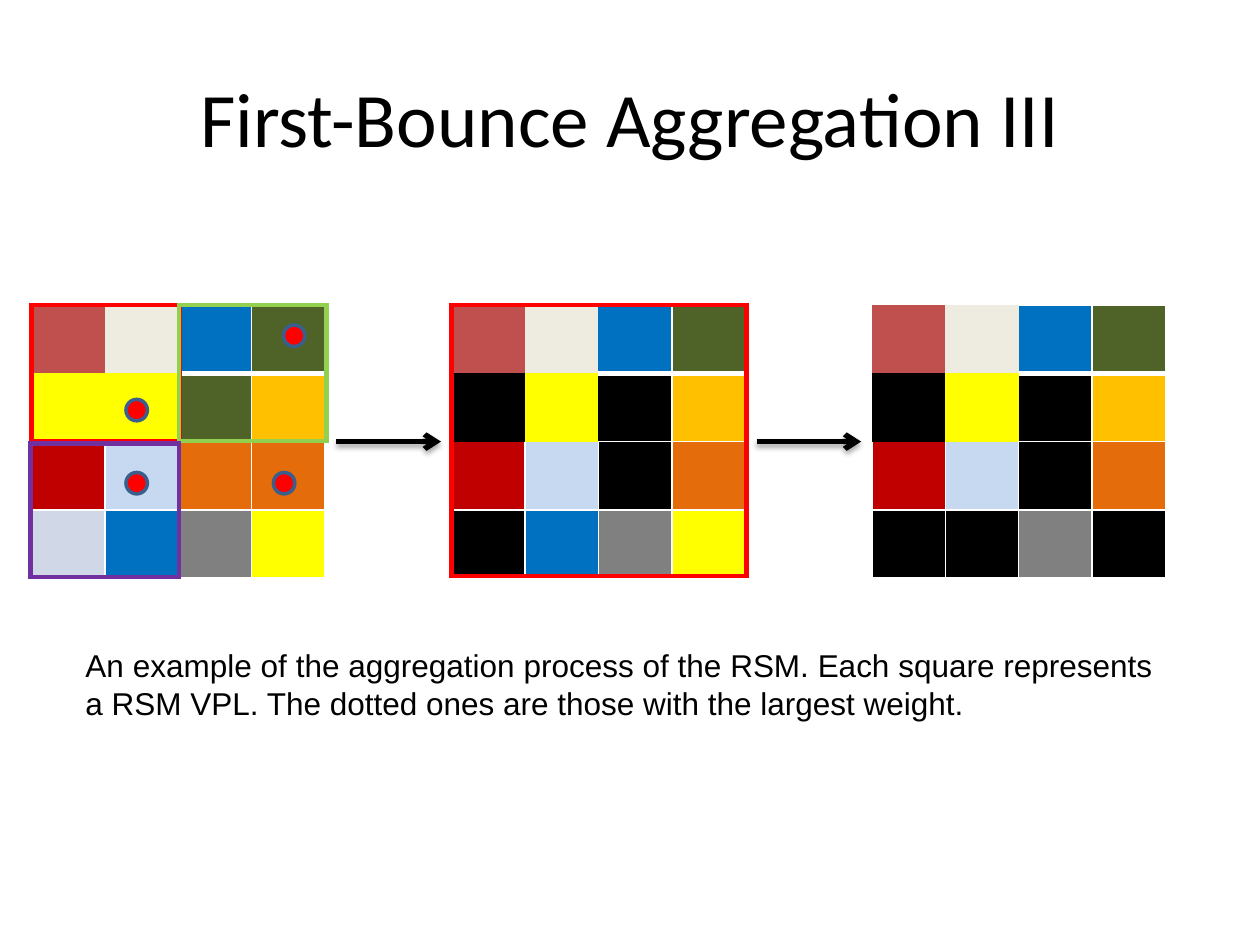
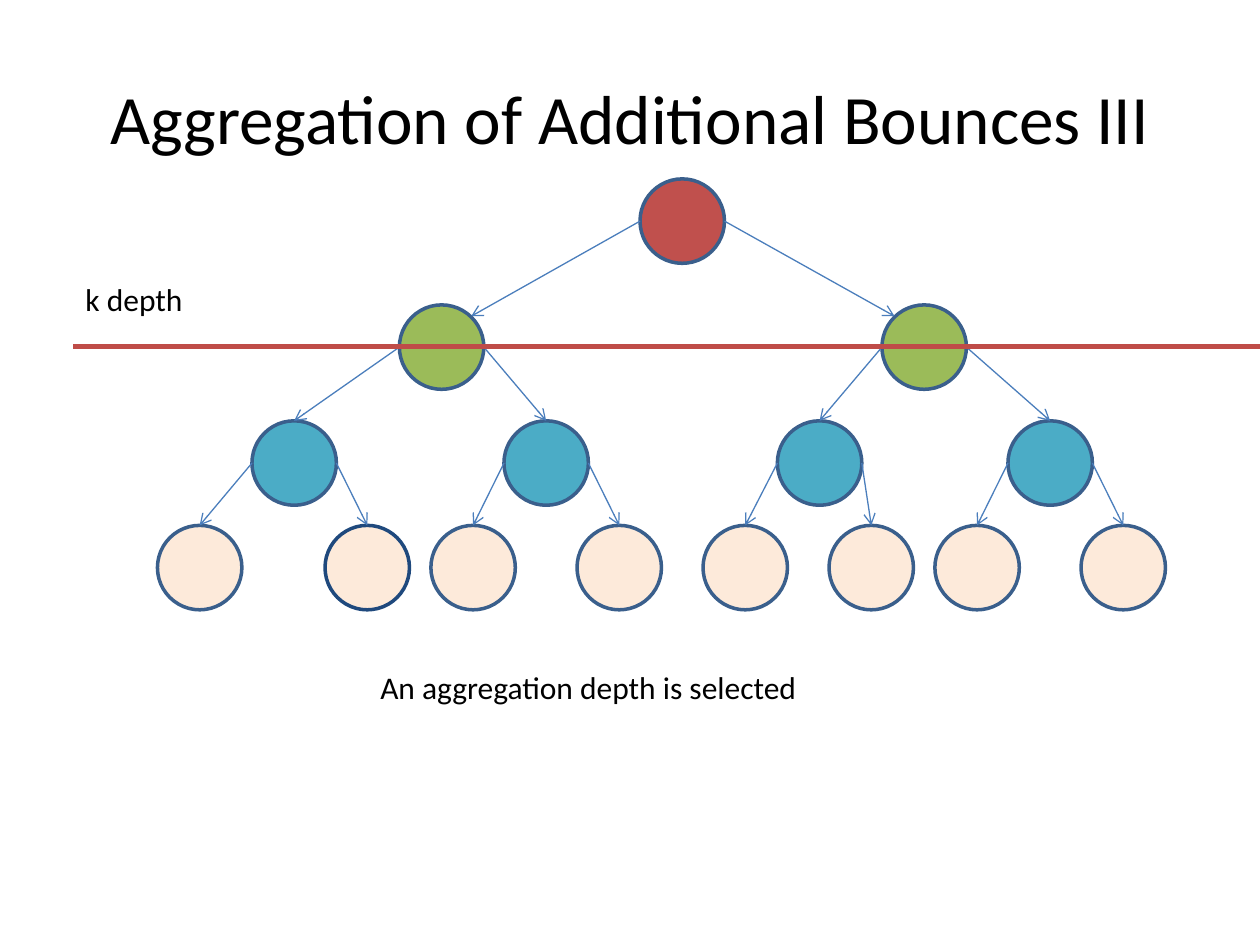
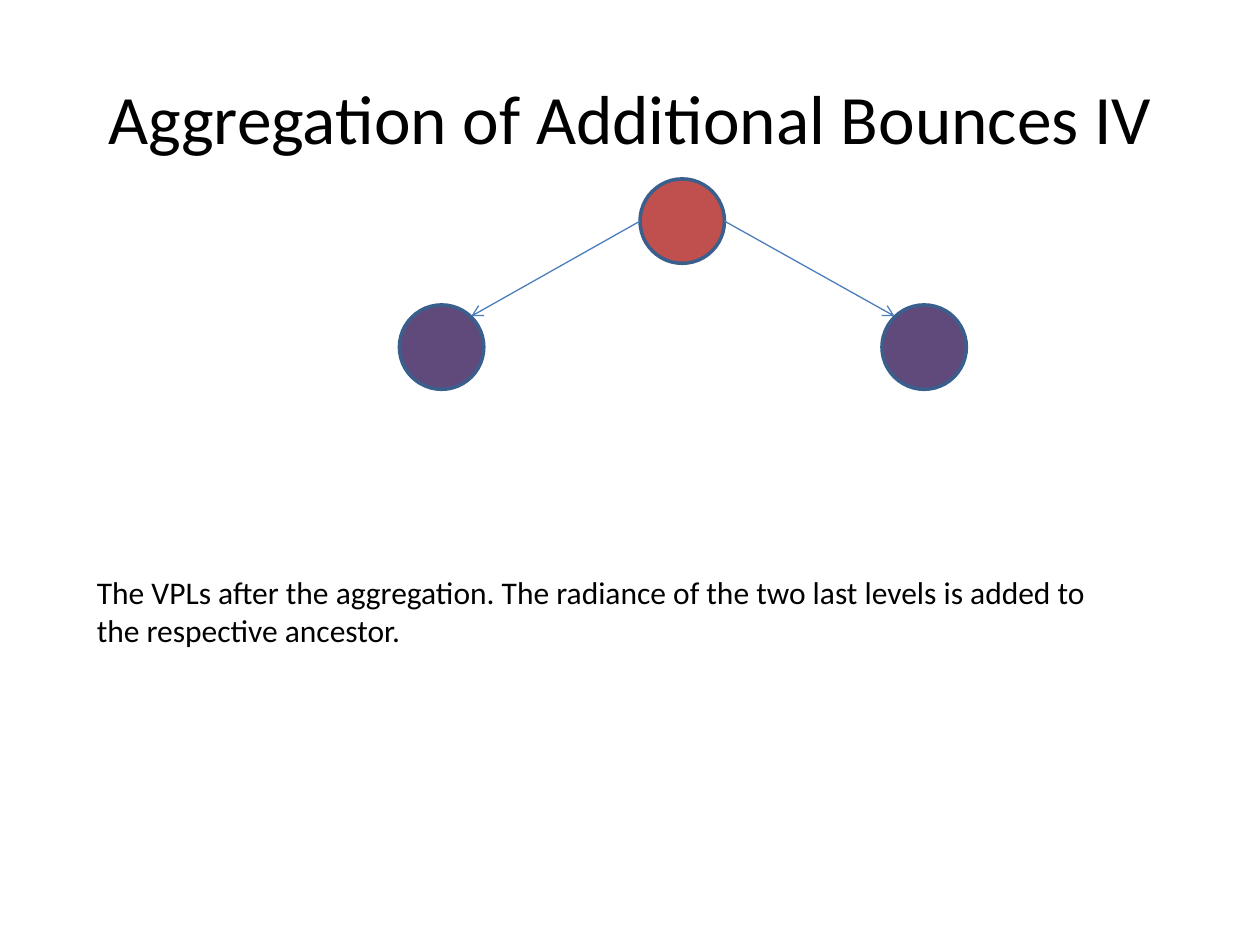
from lxml import etree
from pptx import Presentation
from pptx import util as u
from pptx.dml import color
from pptx.enum import shapes, text
from pptx.oxml import ns

BLACK, WHITE, RED = "000000", "FFFFFF", "FF0000"
OUTLINE, EDGE, ROOT = "3A5F8C", "4B7EBC", "C0504D"
NODE = 0.67
LEVEL_TOPS = [0, 1, 1.92, 2.75]
LEVEL_LEFTS = [
    [3.83],
    [1.92, 5.75],
    [0.75, 2.75, 4.92, 6.75],
    [0, 1.33, 2.17, 3.33, 4.33, 5.33, 6.17, 7.33],
]
TREE_BOX = (1.25, 1.42, 8, 3.42)
SQUARES = [
    ["C0504D", "EEECE1", "0070C0", "4F6228"],
    ["FFFF00", "FFFF00", "4F6228", "FFC000"],
    ["C00000", "C6D9F1", "E46C0A", "E46C0A"],
    ["D0D8E8", "0070C0", "808080", "FFFF00"],
]
FIRST_PASS = {(1, 0), (1, 2), (2, 2), (3, 0)}
SECOND_PASS = FIRST_PASS | {(3, 1), (3, 3)}
NEIGHBOURS = {"L": (0, -1), "R": (0, 1), "T": (-1, 0), "B": (1, 0)}


def rgb(value):
    """Turn a hex string into a colour."""
    return color.RGBColor.from_string(value)


def inches(*values):
    """Turn numbers into lengths."""
    return [u.Inches(value) for value in values]


def add_child(parent, tag, **attributes):
    """Append a drawing element with attributes."""
    child = etree.SubElement(parent, ns.qn(tag))
    for key, value in attributes.items():
        child.set(key, str(value))
    return child


def add_text(page, box, words, size=18, font="Calibri", align=text.PP_ALIGN.LEFT,
             anchor=text.MSO_ANCHOR.TOP):
    """Write one wrapped paragraph in a box."""
    frame = page.shapes.add_textbox(*inches(*box)).text_frame
    frame.word_wrap = True
    frame.vertical_anchor = anchor
    para = frame.paragraphs[0]
    para.alignment = align
    span = para.add_run()
    span.text = words
    span.font.size = u.Pt(size)
    span.font.name = font
    span.font.color.rgb = rgb(BLACK)


def add_page(deck, title, size=39.6):
    """Add a blank page with a centred title."""
    page = deck.slides.add_slide(deck.slide_layouts[6])
    add_text(page, (0.5, 0.3, 9, 1.25), title, size=size,
             align=text.PP_ALIGN.CENTER, anchor=text.MSO_ANCHOR.MIDDLE)
    return page


def add_circle(page, left, top, size, fill, line=OUTLINE):
    """Draw an outlined circle."""
    circle = page.shapes.add_shape(shapes.MSO_SHAPE.OVAL, *inches(left, top, size, size))
    circle.shadow.inherit = False
    circle.fill.solid()
    circle.fill.fore_color.rgb = rgb(fill)
    circle.line.color.rgb = rgb(line)
    circle.line.width = u.Pt(2)


def add_line(page, start, end, stroke, width, arrow=True, shadow=False):
    """Draw a straight line, with an arrowhead and a shadow on request."""
    line = page.shapes.add_connector(shapes.MSO_CONNECTOR.STRAIGHT, *inches(*start, *end))
    line.line.color.rgb = rgb(stroke)
    line.line.width = u.Pt(width)
    properties = line.element.spPr
    if arrow:
        add_child(properties.find(ns.qn("a:ln")), "a:tailEnd", type="arrow")
    effects = add_child(properties, "a:effectLst")
    if shadow:
        outer = add_child(effects, "a:outerShdw", blurRad=u.Pt(3.1), dist=u.Pt(1.8),
                          dir=5400000, rotWithShape=0)
        add_child(add_child(outer, "a:srgbClr", val=BLACK), "a:alpha", val=35000)


def set_border(cell, side, stroke, width):
    """Set one side of a cell, with no line for a width of zero."""
    line = add_child(cell._tc.get_or_add_tcPr(), f"a:ln{side}", w=u.Pt(width))
    if width:
        add_child(add_child(line, "a:solidFill"), "a:srgbClr", val=stroke)
    else:
        add_child(line, "a:noFill")


def add_table(page, box, size):
    """Add a square table without banding."""
    table = page.shapes.add_table(size, size, *inches(*box)).table
    table.first_row = table.horz_banding = False
    return table


def add_frame(page, box, stroke):
    """Outline a region with a single-cell table."""
    cell = add_table(page, box, 1).cell(0, 0)
    for side in NEIGHBOURS:
        set_border(cell, side, stroke, 3)
    cell.fill.background()


def border_width(row, column, side):
    """Leave the upper left block unlined and part the upper right rows."""
    down, right = NEIGHBOURS[side]
    touched = [(row, column), (row + down, column + right)]
    if any(0 <= y < 2 and 0 <= x < 2 for y, x in touched):
        return 0
    return 3 if row == 0 and side == "B" else 1


def add_squares(page, box, removed=()):
    """Draw the coloured squares, with the removed ones in black."""
    table = add_table(page, box, len(SQUARES))
    for row, fills in enumerate(SQUARES):
        for column, fill in enumerate(fills):
            cell = table.cell(row, column)
            for side in NEIGHBOURS:
                set_border(cell, side, WHITE, border_width(row, column, side))
            cell.fill.solid()
            cell.fill.fore_color.rgb = rgb(BLACK if (row, column) in removed else fill)


def add_aggregation(page, box):
    """Draw the three stages of aggregation and the arrows between them."""
    left, top, width, height = box
    side = 2.33
    step = (width - side) / 2
    add_squares(page, (left, top, side, height))
    add_frame(page, (left, top, 1.18, 1.08), RED)
    add_frame(page, (left + 1.17, top, 1.17, 1.08), "92D050")
    add_frame(page, (left - 0.01, top + 1.1, 1.18, 1.06), "7030A0")
    add_squares(page, (left + step, top, side, height), FIRST_PASS)
    add_frame(page, (left + step, top, 2.34, 2.15), RED)
    add_squares(page, (left + 2 * step, top, side, height), SECOND_PASS)
    middle = top + height / 2
    for stage in range(2):
        start = left + stage * step + 2.42
        add_line(page, (start, middle), (start + 0.83, middle), BLACK, 3, shadow=True)
    for across, down in [(0.75, 0.75), (2, 0.16), (0.75, 1.33), (1.92, 1.33)]:
        add_circle(page, left + across, top + down, 0.17, RED)


def add_tree(page, box, fills, accents):
    """Draw a binary tree with one fill per level and accented outlines."""
    left, top = box[:2]
    levels = [[(left + across, top + down) for across in lefts]
              for lefts, down in zip(LEVEL_LEFTS, LEVEL_TOPS)][:len(fills)]
    for depth, nodes in enumerate(levels):
        for index, node in enumerate(nodes):
            add_circle(page, *node, NODE, fills[depth], accents.get((depth, index), OUTLINE))
    for depth, children in enumerate(levels[1:], 1):
        for index, (x, y) in enumerate(children):
            parent_x, parent_y = levels[depth - 1][index // 2]
            start = (parent_x + NODE * (index % 2), parent_y + NODE / 2)
            end = (x + NODE / 2, y)
            if depth == 1:
                end = (x + (0.1 if index else 0.57), y + 0.09)
            add_line(page, start, end, EDGE, 0.75)


def build_first_bounce(deck):
    """Build the page on aggregating the first bounce."""
    page = add_page(deck, "First-Bounce Aggregation III", size=44)
    add_aggregation(page, (0.25, 2.42, 9, 2.17))
    add_text(page, (0.58, 5.08, 8.67, 0.71),
             "An example of the aggregation process of the RSM. Each square represents "
             "a RSM VPL. The dotted ones are those with the largest weight.",
             font="Arial", align=text.PP_ALIGN.JUSTIFY)


def build_depth(deck):
    """Build the page on choosing the aggregation depth."""
    page = add_page(deck, "Aggregation of Additional Bounces III")
    add_tree(page, TREE_BOX, [ROOT, "9BBB59", "4BACC6", "FDEADA"], {(3, 1): "1F497D"})
    add_line(page, (0.58, 2.75), (10, 2.75), "BF4C48", 3, arrow=False)
    add_text(page, (0.58, 2.17, 1.33, 0.42), "k depth")
    add_text(page, (2.92, 5.25, 4.67, 0.4), "An aggregation depth is selected")


def build_result(deck):
    """Build the page on the tree after aggregation."""
    page = add_page(deck, "Aggregation of Additional Bounces IV")
    add_tree(page, TREE_BOX, [ROOT, "604A7B"], {})
    add_text(page, (0.67, 4.5, 8.42, 0.71),
             "The VPLs after the aggregation. The radiance of the two last levels "
             "is added to the respective ancestor.")


def main():
    """Build and save the deck."""
    deck = Presentation()
    deck.slide_width, deck.slide_height = inches(10, 7.5)
    build_first_bounce(deck)
    build_depth(deck)
    build_result(deck)
    deck.save("out.pptx")


if __name__ == "__main__":
    main()
